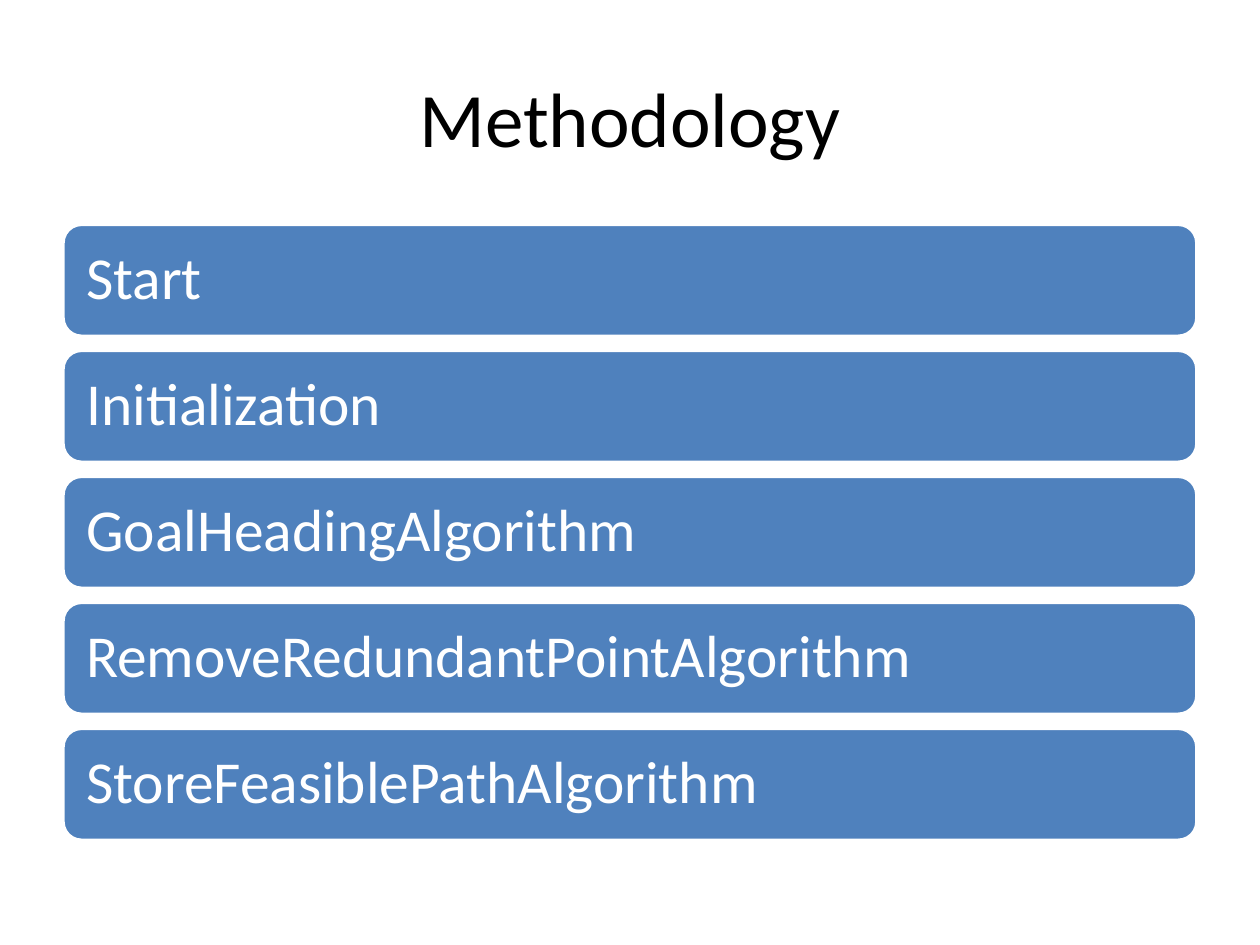
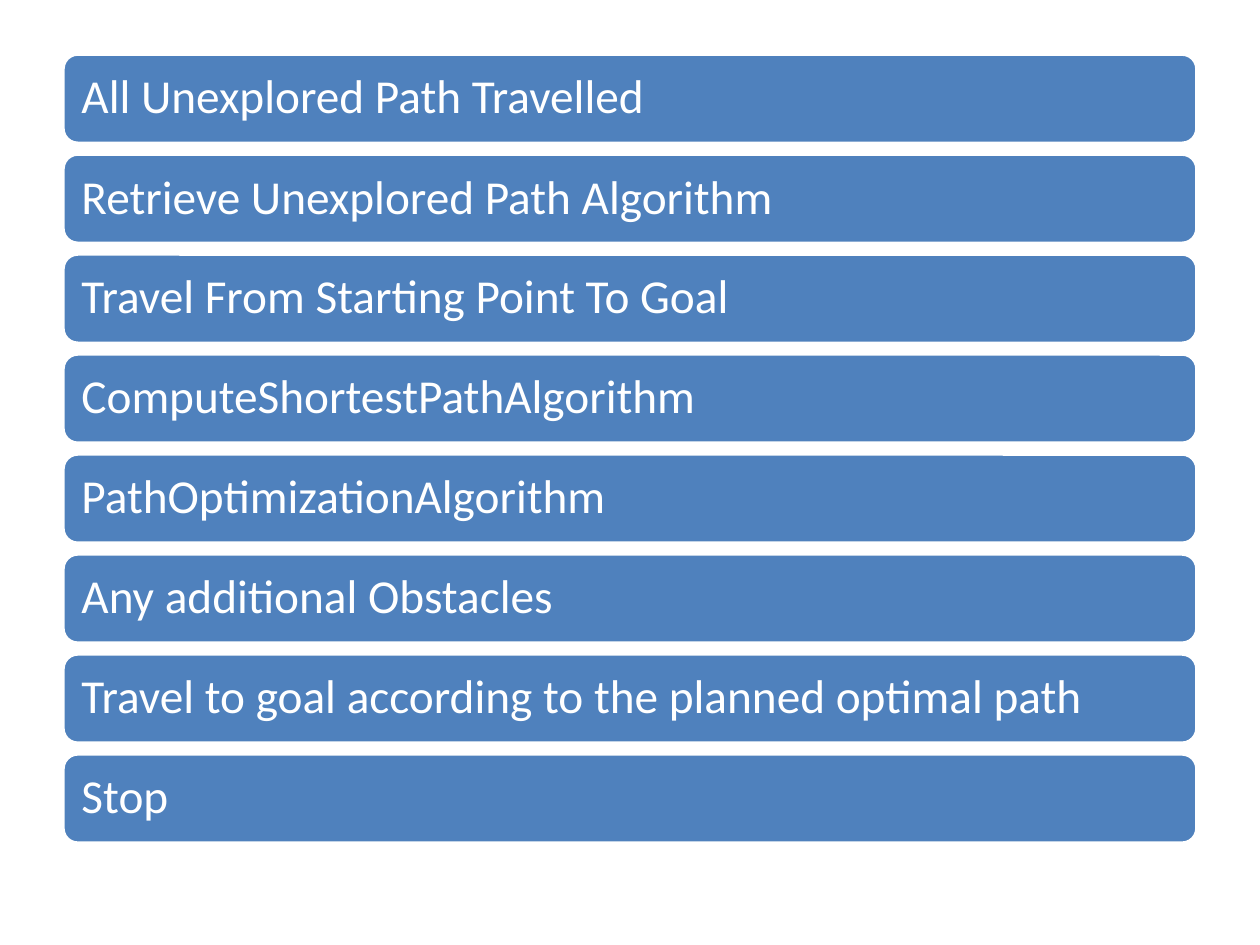
from dataclasses import dataclass

from pptx import Presentation
from pptx.dml.color import RGBColor
from pptx.enum.shapes import MSO_SHAPE
from pptx.enum.text import MSO_ANCHOR, PP_ALIGN
from pptx.shapes.autoshape import Shape
from pptx.slide import Slide
from pptx.util import Pt

ROUND = MSO_SHAPE.ROUNDED_RECTANGLE
MIDDLE = MSO_ANCHOR.MIDDLE
LEFT, CENTER = PP_ALIGN.LEFT, PP_ALIGN.CENTER

FONT = "Calibri"
BLUE, WHITE, BLACK = "4F81BD", "FFFFFF", "000000"
EDGE, WIDTH = 36, 648
INSET = 0.3


@dataclass(frozen=True)
class Stack:
    top: float
    height: float
    pitch: float
    size: float
    steps: tuple[str, ...]


def color(code: str) -> RGBColor:
    return RGBColor.from_string(code)


def write(shape: Shape, text: str, *, size: float, ink: str,
          align: PP_ALIGN = LEFT, space: float = 1.0,
          pad: tuple[float, float] = (7.2, 3.6)) -> None:
    frame = shape.text_frame
    frame.word_wrap = True
    frame.vertical_anchor = MIDDLE
    frame.margin_left = frame.margin_right = Pt(pad[0])
    frame.margin_top = frame.margin_bottom = Pt(pad[1])
    para = frame.paragraphs[0]
    para.alignment = align
    para.line_spacing = space
    run = para.add_run()
    run.text = text
    run.font.name = FONT
    run.font.size = Pt(size)
    run.font.color.rgb = color(ink)


def add_title(slide: Slide, text: str) -> None:
    box = slide.shapes.add_textbox(Pt(EDGE), Pt(21.6), Pt(WIDTH), Pt(90))
    write(box, text, size=44, ink=BLACK, align=CENTER)


def add_stack(slide: Slide, stack: Stack) -> None:
    pad = stack.size * INSET
    for row, step in enumerate(stack.steps):
        top = stack.top + row * stack.pitch
        bar = slide.shapes.add_shape(
            ROUND, Pt(EDGE), Pt(top), Pt(WIDTH), Pt(stack.height))
        bar.shadow.inherit = False
        bar.fill.solid()
        bar.fill.fore_color.rgb = color(BLUE)
        bar.line.color.rgb = color(WHITE)
        bar.line.width = Pt(2)
        write(bar, step, size=stack.size, ink=WHITE, space=0.9,
              pad=(pad, pad))


FIRST = Stack(128.2, 64, 72, 34, (
    "Start",
    "Initialization",
    "GoalHeadingAlgorithm",
    "RemoveRedundantPointAlgorithm",
    "StoreFeasiblePathAlgorithm",
))
SECOND = Stack(30.9, 51, 57.13, 27, (
    "All Unexplored Path Travelled",
    "Retrieve Unexplored Path Algorithm",
    "Travel From Starting Point To Goal",
    "ComputeShortestPathAlgorithm",
    "PathOptimizationAlgorithm",
    "Any additional Obstacles",
    "Travel to goal according to the planned optimal path",
    "Stop",
))


def main() -> None:
    deck = Presentation()
    deck.slide_width, deck.slide_height = Pt(720), Pt(540)
    blank = deck.slide_layouts[6]
    slide = deck.slides.add_slide(blank)
    add_title(slide, "Methodology")
    add_stack(slide, FIRST)
    add_stack(deck.slides.add_slide(blank), SECOND)
    deck.save("out.pptx")


main()
